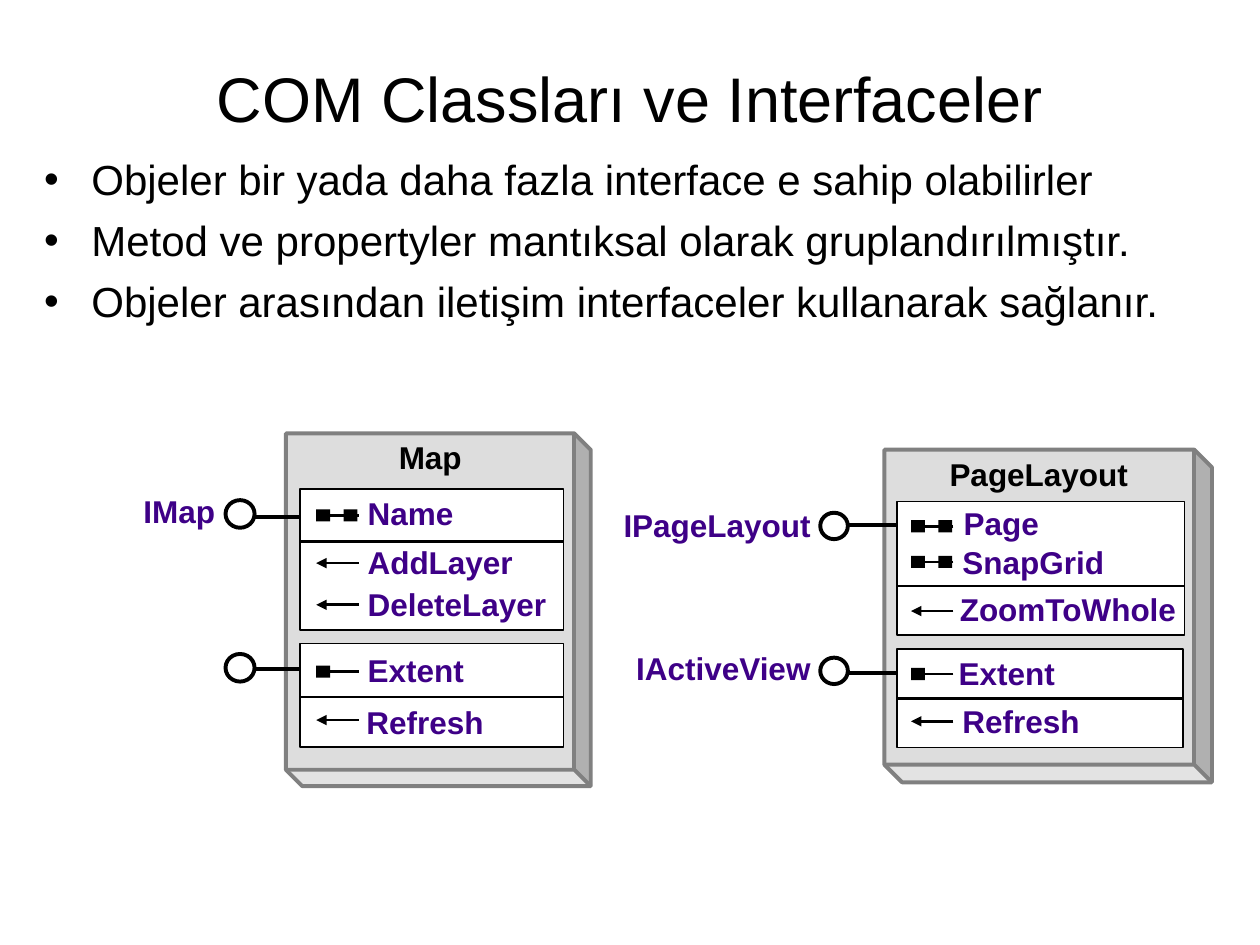
from dataclasses import dataclass
from enum import Enum

import pptx
import pptx.dml.color
import pptx.enum.shapes
import pptx.enum.text
import pptx.oxml
import pptx.oxml.ns
import pptx.util

Pt = pptx.util.Pt
RGB = pptx.dml.color.RGBColor
SHAPE = pptx.enum.shapes.MSO_SHAPE
ALIGN = pptx.enum.text.PP_ALIGN
ANCHOR = pptx.enum.text.MSO_ANCHOR
qn = pptx.oxml.ns.qn


@dataclass(frozen=True)
class Theme:
    font: str = "Arial"
    black: RGB = RGB(0, 0, 0)
    white: RGB = RGB(255, 255, 255)
    purple: RGB = RGB(0x3E, 0x00, 0x87)
    face: RGB = RGB(0xDD, 0xDD, 0xDD)
    edge: RGB = RGB(0x80, 0x80, 0x80)
    title_size: float = 36
    body_size: float = 24
    label_size: float = 18
    thick: float = 2.25
    medium: float = 1.5
    thin: float = 0.75


THEME = Theme()


class Mark(Enum):
    GET_PUT = 1
    GET = 2
    METHOD = 3


@dataclass
class Rect:
    x: float
    y: float
    w: float
    h: float


@dataclass
class Label:
    text: str
    rect: Rect


@dataclass
class Member:
    label: Label
    mark: Mark
    y: float  # centre of the mark


@dataclass
class Interface:
    box: Rect
    divider: float
    pin: float
    circle: Rect
    members: list[Member]
    label: Label | None = None


@dataclass
class ComClass:
    cube: Rect
    title: Label
    mark_x: float
    interfaces: list[Interface]


TITLE = "COM Classları ve Interfaceler"
POINTS = [
    "Objeler bir yada daha fazla interface e sahip olabilirler",
    "Metod ve propertyler mantıksal olarak gruplandırılmıştır.",
    "Objeler arasından iletişim interfaceler kullanarak sağlanır.",
]


def member(text: str, mark: Mark, y: float, x: float, top: float, w: float) -> Member:
    return Member(Label(text, Rect(x, top, w, 28.8)), mark, y)


CLASSES = [
    ComClass(Rect(163.4, 247.7, 174.2, 201.6), Label("Map", Rect(169.9, 247, 151.9, 38.9)), 180.7, [
        Interface(Rect(171.4, 279.4, 150.5, 80.6), 309.6, 295.2, Rect(128.9, 285.8, 16.6, 15.8), [
            member("Name", Mark.GET_PUT, 294.5, 203, 278.6, 78.5),
            member("AddLayer", Mark.METHOD, 321.8, 203, 306.7, 117.4),
            member("DeleteLayer", Mark.METHOD, 345.6, 203, 330.5, 121.7),
        ], Label("IMap", Rect(74.9, 277.9, 78.5, 28.8))),
        Interface(Rect(171.4, 367.9, 150.5, 59), 398.2, 382.3, Rect(128.9, 373.7, 16.6, 15.8), [
            member("Extent", Mark.GET, 383.8, 203, 368.6, 127.4),
            member("Refresh", Mark.METHOD, 411.5, 202.3, 398.2, 89.3),
        ]),
    ]),
    ComClass(Rect(505.4, 257, 187.2, 190.1), Label("PageLayout", Rect(519.1, 256.3, 149, 36.7)), 520.6, [
        Interface(Rect(512.6, 286.6, 164.2, 76.3), 334.8, 300.2, Rect(468.7, 293, 15.8, 15.1), [
            member("Page", Mark.GET_PUT, 300.7, 543.6, 284.4, 77),
            member("SnapGrid", Mark.GET_PUT, 321.1, 542.9, 306.7, 161.3),
            member("ZoomToWhole", Mark.METHOD, 349.2, 541.4, 333.4, 144.7),
        ], Label("IPageLayout", Rect(349.2, 285.8, 133.2, 28.8))),
        Interface(Rect(512.6, 370.8, 163.4, 56.2), 399.2, 384.5, Rect(468.7, 375.8, 15.8, 15.1), [
            member("Extent", Mark.GET, 385.2, 540.7, 370.1, 124.6),
            member("Refresh", Mark.METHOD, 412.2, 542.9, 397.4, 87.8),
        ], Label("IActiveView", Rect(356.4, 367.2, 121.7, 28.8))),
    ]),
]


def place(sp, r: Rect) -> None:
    sp.left, sp.top, sp.width, sp.height = Pt(r.x), Pt(r.y), Pt(r.w), Pt(r.h)


def style(p, size: float, color: RGB, bold: bool = False) -> None:
    p.font.name, p.font.size = THEME.font, Pt(size)
    p.font.bold, p.font.color.rgb = bold, color


def add_box(slide, kind, r: Rect, fill: RGB, line: RGB | None = None, width: float = 0):
    sp = slide.shapes.add_shape(kind, Pt(r.x), Pt(r.y), Pt(r.w), Pt(r.h))
    sp.shadow.inherit = False
    sp.fill.solid()
    sp.fill.fore_color.rgb = fill
    if line is None:
        sp.line.fill.background()
    else:
        sp.line.color.rgb, sp.line.width = line, Pt(width)
    return sp


def add_line(slide, x1: float, x2: float, y: float, width: float, arrow: bool = False) -> None:
    sp = slide.shapes.add_connector(
        pptx.enum.shapes.MSO_CONNECTOR.STRAIGHT, Pt(x1), Pt(y), Pt(x2), Pt(y))
    sp.line.color.rgb, sp.line.width = THEME.black, Pt(width)
    if arrow:
        pptx.oxml.xmlchemy.OxmlElement("a:tailEnd")
        end = sp.line._get_or_add_ln().makeelement(qn("a:tailEnd"), {"type": "triangle"})
        sp.line._get_or_add_ln().append(end)
    props = sp._element.spPr
    props.append(props.makeelement(qn("a:effectLst"), {}))


def add_label(slide, label: Label, color: RGB, align=ALIGN.LEFT) -> None:
    r = label.rect
    tf = slide.shapes.add_textbox(Pt(r.x), Pt(r.y), Pt(r.w), Pt(r.h)).text_frame
    tf.word_wrap = True
    p = tf.paragraphs[0]
    p.text, p.alignment = label.text, align
    style(p, THEME.label_size, color, True)


def draw_member(slide, m: Member, x: float) -> None:
    add_line(slide, x + 24.2, x, m.y, THEME.medium, m.mark is Mark.METHOD)
    offsets = {Mark.GET_PUT: [0, 15.6], Mark.GET: [0], Mark.METHOD: []}[m.mark]
    for dx in offsets:
        add_box(slide, SHAPE.RECTANGLE, Rect(x + dx, m.y - 3.5, 7.9, 7), THEME.black)
    add_label(slide, m.label, THEME.purple)


def draw_interface(slide, i: Interface, mark_x: float) -> None:
    b, c = i.box, i.circle
    add_line(slide, b.x, c.x + c.w / 2, i.pin, THEME.thick)
    add_box(slide, SHAPE.OVAL, c, THEME.white, THEME.black, THEME.thick)
    add_box(slide, SHAPE.RECTANGLE, b, THEME.white, THEME.black, THEME.thin)
    add_line(slide, b.x, b.x + b.w, i.divider, THEME.medium)
    if i.label:
        add_label(slide, i.label, THEME.purple)
    for m in i.members:
        draw_member(slide, m, mark_x)


def draw_class(slide, c: ComClass) -> None:
    cube = add_box(slide, SHAPE.CUBE, c.cube, THEME.face, THEME.edge, THEME.thick)
    cube.adjustments[0] = 0.054
    cube._element.spPr.xfrm.set("flipV", "1")
    add_label(slide, c.title, THEME.black, ALIGN.CENTER)
    for i in c.interfaces:
        draw_interface(slide, i, c.mark_x)


def fill_placeholders(slide) -> None:
    # Title
    title, body = slide.shapes.title, slide.placeholders[1]
    place(title, Rect(36, 21.6, 648, 68.4))
    title.text_frame.text = TITLE
    title.text_frame.vertical_anchor = ANCHOR.MIDDLE
    title.text_frame.paragraphs[0].alignment = ALIGN.CENTER
    style(title.text_frame.paragraphs[0], THEME.title_size, THEME.black)
    # Bulleted list
    place(body, Rect(18, 84.2, 702, 426.2))
    tf = body.text_frame
    tf.text = "\n".join(POINTS)
    tf.auto_size = pptx.enum.text.MSO_AUTO_SIZE.NONE
    for n, p in enumerate(tf.paragraphs):
        props = p._p.get_or_add_pPr()
        props.set("marL", str(Pt(27)))
        props.set("indent", str(Pt(-27)))
        props.append(props.makeelement(qn("a:buChar"), {"char": "•"}))
        p.space_before = Pt(6 if n else 0)
        style(p, THEME.body_size, THEME.black)


def main() -> None:
    prs = pptx.Presentation()
    prs.slide_width, prs.slide_height = Pt(720), Pt(540)
    slide = prs.slides.add_slide(prs.slide_layouts[1])
    fill_placeholders(slide)
    # Class diagrams
    for c in CLASSES:
        draw_class(slide, c)
    prs.save("out.pptx")


if __name__ == "__main__":
    main()
